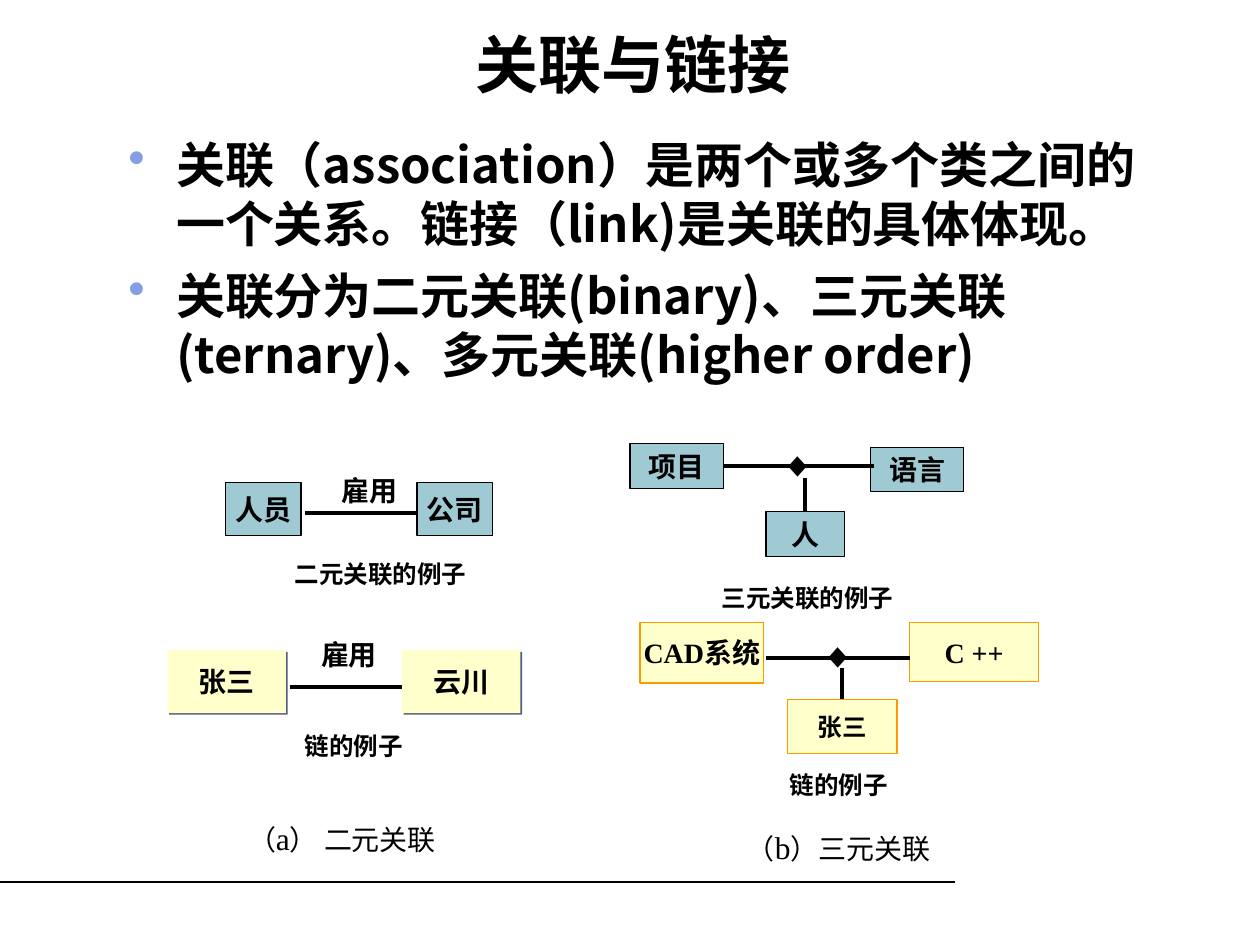
from lxml import etree
from pptx import Presentation
from pptx import util as u
from pptx.dml.color import RGBColor
from pptx.enum import shapes, text
from pptx.oxml.ns import qn

COLORS = {"ink": "000000", "bullet": "839EE3", "teal": "9FCAD3",
          "cream": "FFFFCC", "orange": "FF9900", "shadow": "515F7B"}
LATIN, HAN, HEADING = "Times New Roman", "Noto Sans CJK SC", "Arial"
CELL = u.Inches(0.1)
COLUMNS, ROWS = 100, 75
INSET_X, INSET_Y = u.Inches(0.1), u.Inches(0.05)


def cells(*lengths):
    """Turn grid columns and rows into lengths."""
    return [round(length * CELL) for length in lengths]


def color(name):
    """Look up a colour by its name."""
    return RGBColor.from_string(COLORS[name])


def write(box, *paragraphs, size=16, font=LATIN, bold=True, align="LEFT",
          anchor="MIDDLE", wrap=True, bullet=None, before=0, leading=None):
    """Fill a box with paragraphs, each a string or a list of (words, size)."""
    frame = box.text_frame
    frame.word_wrap = wrap
    frame.auto_size = text.MSO_AUTO_SIZE.NONE
    frame.vertical_anchor = getattr(text.MSO_ANCHOR, anchor)
    frame.margin_left = frame.margin_right = INSET_X
    frame.margin_top = frame.margin_bottom = INSET_Y
    for index, words in enumerate(paragraphs):
        para = frame.add_paragraph() if index else frame.paragraphs[0]
        para.alignment = getattr(text.PP_ALIGN, align)
        para.space_before = u.Pt(before if index else 0)
        if leading:
            para.line_spacing = u.Pt(leading)
        if bullet:
            add_bullet(para, bullet)
        parts = [(words, size)] if isinstance(words, str) else words
        for part, points in parts:
            span = para.add_run()
            span.text = part
            span.font.size = u.Pt(points)
            span.font.bold = bold
            span.font.name = font
            span.font.color.rgb = color("ink")
            latin = span.font._element.find(qn("a:latin"))
            han = etree.Element(qn("a:ea"), typeface=HAN)
            latin.addnext(han)
    return box


def add_bullet(para, sign):
    """Give a paragraph a coloured bullet and a hanging indent."""
    props = para._p.get_or_add_pPr()
    hang = u.Inches(0.38)
    props.set("marL", str(hang))
    props.set("indent", str(-hang))
    tint = etree.SubElement(props, qn("a:buClr"))
    etree.SubElement(tint, qn("a:srgbClr"), val=COLORS["bullet"])
    etree.SubElement(props, qn("a:buChar"), char=sign)


def add_label(page, place, *paragraphs, **style):
    """Add a text box on the grid."""
    return write(page.shapes.add_textbox(*cells(*place)), *paragraphs, **style)


def add_node(page, place, name, fill, line=None, size=16):
    """Add a named rectangle, outlined or with a hard shadow."""
    node = page.shapes.add_shape(shapes.MSO_SHAPE.RECTANGLE, *cells(*place))
    node.shadow.inherit = False
    node.fill.solid()
    node.fill.fore_color.rgb = color(fill)
    if line:
        node.line.color.rgb = color(line)
        node.line.width = u.Pt(0.75)
    else:
        node.line.fill.background()
        effects = node._element.spPr.find(qn("a:effectLst"))
        shade = etree.SubElement(effects, qn("a:outerShdw"), dist=str(u.Pt(1.4)),
                                 dir="2700000", algn="ctr", rotWithShape="0")
        etree.SubElement(shade, qn("a:srgbClr"), val=COLORS["shadow"])
    return write(node, name, size=size, align="CENTER", wrap=False)


def add_line(page, start, end, width=2.25):
    """Add a straight black line between two grid points."""
    line = page.shapes.add_connector(shapes.MSO_CONNECTOR.STRAIGHT,
                                     *cells(*start, *end))
    line.line.color.rgb = color("ink")
    line.line.width = u.Pt(width)
    etree.SubElement(line._element.spPr, qn("a:effectLst"))
    return line


def add_caption(page, region, left, width, words):
    """Put a diagram's caption along the bottom of its region."""
    x, y, _, height = region
    add_label(page, (x + left, y + height - 3.4, width, 3.4), words, size=14)


def draw_binary(page, region, names, node_size, drop, axis, label, caption, **style):
    """Draw two nodes at the region's sides, a labelled line and a caption."""
    x, y, width, _ = region
    node_width, node_height = node_size
    right = x + width - node_width
    for left, name in zip((x, right), names):
        add_node(page, (left, y + drop, node_width, node_height), name, **style)
    add_line(page, (x + node_width + 0.3, y + axis), (right, y + axis))
    left, label_width = label
    add_label(page, (x + left, y, label_width, 3.7), "雇用")
    add_caption(page, region, *caption)


def draw_ternary(page, region, nodes, axis, stem, diamond, caption, joined,
                 overlap=0, **style):
    """Draw three nodes meeting at a diamond, and a caption."""
    x, y, _, _ = region
    first, _, third = [add_node(page, (x + left, y + top, width, height), name,
                                size=size, **style)
                       for name, left, top, width, height, size in nodes]
    start = nodes[0][1] + nodes[0][3] + (0 if joined else 0.2)
    bar = add_line(page, (x + start, y + axis),
                   (x + nodes[1][1] + overlap, y + axis))
    if joined:
        bar.begin_connect(first, 3)
    left, top, width = diamond
    add_label(page, (x + left, y + top, width, 4.4), "◆", size=20, bold=False)
    _, left, top, width, _, _ = nodes[2]
    middle = x + left + width / 2
    add_line(page, (middle, y + stem), (middle, y + top)).end_connect(third, 0)
    add_caption(page, region, *caption)


def draw_text(page):
    """Place the title, the bullets, the part names and the bottom rule."""
    title = page.shapes.title
    title.left, title.top, title.width, title.height = cells(5, 2.5, 90.5, 5)
    write(title, "关联与链接", size=36, font=HEADING, align="CENTER")
    add_label(page, (9.2, 10.2, 85, 57.5),
              "关联（association）是两个或多个类之间的一个关系。链接（link)是关联的具体体现。",
              "关联分为二元关联(binary)、三元关联(ternary)、多元关联(higher order)",
              size=28, font=HAN, anchor="TOP", bullet="•", before=7, leading=33.7)
    add_label(page, (18.7, 64.5, 24.2, 4),
              [("（", 16), ("a", 18), ("） 二元关联", 16)], bold=False)
    add_label(page, (55, 65.1, 23.1, 4.2),
              [("（", 16), ("b", 18), ("）三元关联", 16)], bold=False, align="CENTER")
    add_line(page, (0, 70), (75.8, 70), width=0.75)


def main():
    """Build the deck and save it."""
    deck = Presentation()
    deck.slide_width, deck.slide_height = cells(COLUMNS, ROWS)
    page = deck.slides.add_slide(deck.slide_layouts[5])
    draw_text(page)
    draw_binary(page, (17.9, 37.1, 21.2, 10.1), ("人员", "公司"), (6, 4.2),
                drop=1.2, axis=3.6, label=(8.2, 8.5),
                caption=(4.5, 18.2, "二元关联的例子"), fill="teal", line="ink")
    draw_binary(page, (13.3, 50.1, 28, 10.8), ("张三", "云川"), (9.4, 5),
                drop=1.5, axis=4.4, label=(11.2, 9.3),
                caption=(9.9, 16.5, "链的例子"), fill="cream")
    draw_ternary(page, (50, 35.2, 26.5, 13.9),
                 [("项目", 0, 0, 7.4, 3.6, 16), ("语言", 19.1, 0.3, 7.4, 3.5, 16),
                  ("人", 10.8, 5.4, 6.2, 3.6, 16)],
                 axis=1.8, stem=2.7, diamond=(10.9, -0.5, 4.8), overlap=0.3,
                 caption=(6.3, 18.2, "三元关联的例子"), joined=True,
                 fill="teal", line="ink")
    draw_ternary(page, (50.8, 49.4, 31.6, 14.6),
                 [("CAD系统", 0, 0, 9.8, 4.8, 16), ("C ++", 21.4, 0, 10.2, 4.7, 16),
                  ("张三", 11.7, 6.1, 8.7, 4.3, 14)],
                 axis=2.8, stem=3.6, diamond=(13.3, 0.4, 4.5),
                 caption=(10.9, 14.1, "链的例子"), joined=False,
                 fill="cream", line="orange")
    deck.save("out.pptx")


if __name__ == "__main__":
    main()
